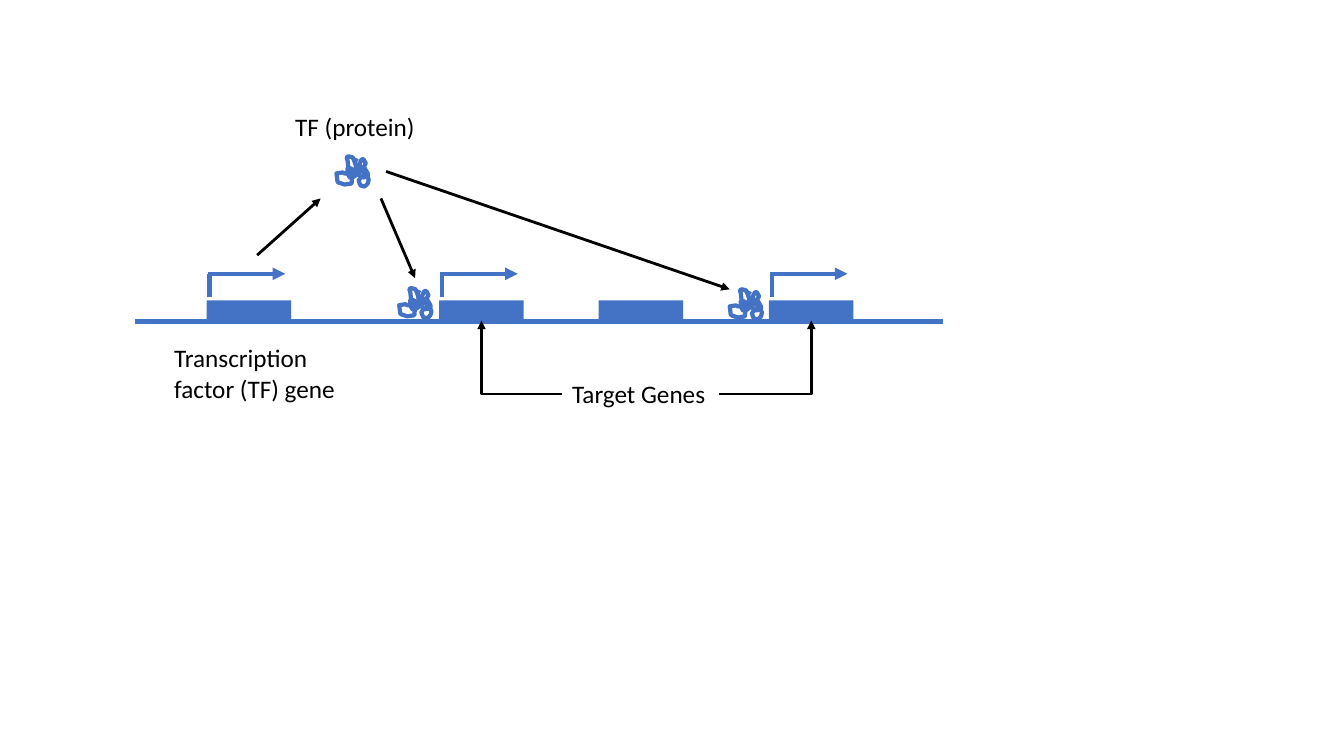
from lxml.etree import SubElement
from pptx import Presentation
from pptx.dml.color import RGBColor
from pptx.enum.shapes import MSO_CONNECTOR, MSO_SHAPE
from pptx.enum.text import MSO_AUTO_SIZE
from pptx.oxml.ns import qn
from pptx.util import Cm, Pt

# Content: lengths in centimetres
COLORS = {"dna": "4472C4", "ink": "000000"}
FONT = "Calibri"

DNA = (3.4, 23.77, 8.1)  # left, right, y
GENE_TOP, GENE_WIDTH, GENE_HEIGHT = 7.57, 2.13, 0.51
GENES = {  # name: (left, has a promoter arrow)
    "tf": (5.21, True),
    "target 1": (11.07, True),
    "other": (15.09, False),
    "target 2": (19.38, True),
}
PROMOTER_TOP, PROMOTER_FOOT = 6.9, 7.49

PROTEINS = [(8.48, 3.94), (10.06, 7.26), (18.39, 7.29)]
# Outline of the folded protein, in hundredths of an inch
FOLDS = [
    (20, 2), (18, 6), (20, 10), (22, 10), (23, 11), (27, 11), (29, 7), (27, 3),
    (25, 3), (24, 5), (23, 7), (23, 10), (21, 16), (20, 18), (19, 19), (16, 21),
    (13, 21), (11, 17), (11, 12), (12, 11), (16, 13), (19, 15), (22, 18), (23, 19),
    (26, 21), (31, 20), (31, 17), (28, 12), (22, 14), (20, 14), (19, 15), (18, 17),
    (14, 15), (12, 13), (11, 4), (10, 1), (12, 0), (16, 1), (17, 3), (19, 8),
    (19, 10), (20, 11), (19, 15), (18, 17), (15, 18), (9, 17), (8, 17), (6, 16),
    (0, 17), (1, 25), (2, 26), (8, 28), (15, 27), (16, 16), (19, 15), (20, 14),
    (26, 15), (31, 21), (32, 23), (31, 27), (28, 30), (24, 29), (23, 27), (22, 24),
    (24, 21),
]

STEPS = [  # from x, y, to x, y
    (6.48, 6.43, 8.08, 5.0),    # gene makes protein
    (9.73, 4.32, 18.39, 7.29),  # protein binds at target 2
    (9.6, 5.0, 10.46, 7.01),    # protein binds at target 1
]
LABELS = {  # text: left, top, width, height
    "Transcription factor (TF) gene": (4.14, 8.51, 4.9, 1.8),
    "TF (protein)": (7.19, 2.67, 5.11, 1.02),
    "Target Genes": (14.17, 9.42, 3.96, 1.02),
}
TARGET_LINKS = [("target 1", 1), ("target 2", 3)]  # gene, side of the label


def rgb(name):
    return RGBColor.from_string(COLORS[name])


def add_line(shapes, ends, color, width, arrow=False, kind=MSO_CONNECTOR.STRAIGHT):
    line = shapes.add_connector(kind, *map(Cm, ends))
    line.line.color.rgb = rgb(color)
    line.line.width = Pt(width)
    properties = line._element.spPr
    if arrow:
        SubElement(properties.find(qn("a:ln")), qn("a:tailEnd"), type="triangle")
    SubElement(properties, qn("a:effectLst"))
    return line


prs = Presentation()
prs.slide_width, prs.slide_height = Cm(33.87), Cm(19.05)
slide = prs.slides.add_slide(prs.slide_layouts[6])
shapes = slide.shapes

# DNA strand
dna_left, dna_right, dna_y = DNA
add_line(shapes, (dna_left, dna_y, dna_right, dna_y), "dna", 3)

# Genes and their promoter arrows
gene_boxes = {}
for name, (left, has_promoter) in GENES.items():
    gene = shapes.add_shape(MSO_SHAPE.RECTANGLE, Cm(left), Cm(GENE_TOP),
                            Cm(GENE_WIDTH), Cm(GENE_HEIGHT))
    gene.shadow.inherit = False
    gene.fill.solid()
    gene.fill.fore_color.rgb = rgb("dna")
    gene.line.fill.background()
    gene_boxes[name] = gene
    if has_promoter:
        promoter = shapes.add_group_shape().shapes
        add_line(promoter, (left + 0.03, PROMOTER_TOP, left + 1.98, PROMOTER_TOP),
                 "dna", 3, arrow=True)
        add_line(promoter, (left + 0.07, PROMOTER_FOOT, left + 0.07, PROMOTER_TOP),
                 "dna", 3)

# Folded proteins
for left, top in PROTEINS:
    outline = shapes.build_freeform(*FOLDS[0], scale=Cm(2.54) / 100)
    outline.add_line_segments(FOLDS[1:], close=False)
    protein = outline.convert_to_shape(Cm(left), Cm(top))
    protein.shadow.inherit = False
    protein.fill.background()
    protein.line.color.rgb = rgb("dna")
    protein.line.width = Pt(3)

# Steps from gene to protein to targets
for ends in STEPS:
    add_line(shapes, ends, "ink", 2, arrow=True)

# Labels
label_boxes = {}
for text, place in LABELS.items():
    label = shapes.add_textbox(*map(Cm, place))
    label.text_frame.word_wrap = True
    label.text_frame.auto_size = MSO_AUTO_SIZE.SHAPE_TO_FIT_TEXT
    run = label.text_frame.paragraphs[0].add_run()
    run.text = text
    run.font.name = FONT
    run.font.size = Pt(18)
    run.font.color.rgb = rgb("ink")
    label_boxes[text] = label

# Bent arrows from the label up to the target genes
for name, side in TARGET_LINKS:
    link = add_line(shapes, (0, 0, 1, 1), "ink", 2, arrow=True, kind=MSO_CONNECTOR.ELBOW)
    link._element.spPr.find(qn("a:prstGeom")).set("prst", "bentConnector2")
    link.begin_connect(label_boxes["Target Genes"], side)
    link.end_connect(gene_boxes[name], 2)

prs.save("out.pptx")
